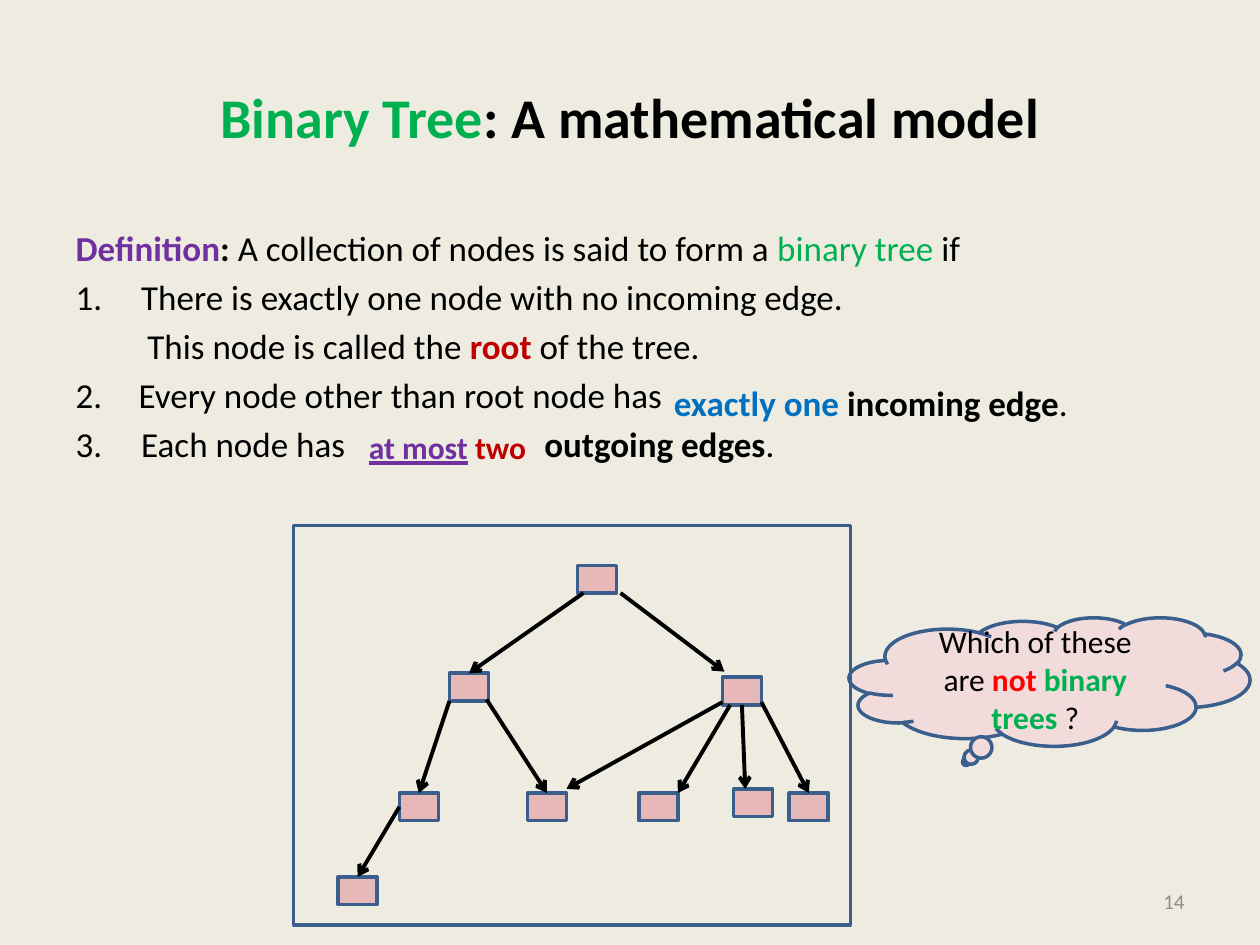
from lxml.etree import SubElement
from pptx import Presentation
from pptx.dml.color import RGBColor
from pptx.enum.shapes import MSO_CONNECTOR, MSO_SHAPE
from pptx.enum.text import MSO_ANCHOR, PP_ALIGN
from pptx.oxml.ns import qn
from pptx.util import Inches, Pt

BLACK = RGBColor(0x00, 0x00, 0x00)
GREEN = RGBColor(0x00, 0xB0, 0x50)
PURPLE = RGBColor(0x70, 0x30, 0xA0)
DARK_RED = RGBColor(0xC0, 0x00, 0x00)
RED = RGBColor(0xFF, 0x00, 0x00)
BLUE = RGBColor(0x00, 0x70, 0xC0)
GREY = RGBColor(0x8C, 0x8C, 0x8C)
OUTLINE = RGBColor(0x3A, 0x5F, 0x8C)
NODE_FILL = RGBColor(0xE6, 0xB9, 0xB8)
CLOUD_FILL = RGBColor(0xF2, 0xDC, 0xDB)
PAPER = RGBColor(0xEE, 0xEC, 0xE1)
FONT = "Calibri"

NODE_W, NODE_H = 0.31, 0.22
# Top left corner of each node, as shares of the frame
NODES = {
    "root": (0.51, 0.1), "left": (0.28, 0.37), "right": (0.77, 0.38),
    "a": (0.19, 0.67), "b": (0.42, 0.67), "c": (0.62, 0.67),
    "d": (0.79, 0.66), "e": (0.89, 0.67), "leaf": (0.08, 0.88),
}
TOP = (0.5, 0)
# Parent, child, and the points they join, as shares of each node
EDGES = [
    ("root", "left", (0.15, 1), TOP),
    ("root", "right", (1.1, 1), (0.05, -0.2)),
    ("left", "a", (0, 1), TOP),
    ("left", "b", (0.95, 0.95), TOP),
    ("right", "b", (0, 0.9), (1, -0.15)),
    ("right", "c", (0.2, 1), (1, 0)),
    ("right", "d", (0.5, 1), (0.3, 0)),
    ("right", "e", (1, 0.9), TOP),
    ("a", "leaf", (0, 0.5), TOP),
]


def add_runs(p, size, *runs):
    """Each run is (text, colour, bold)."""
    for text, colour, bold in runs:
        r = p.add_run()
        r.text = text
        r.font.name, r.font.size, r.font.bold = FONT, Pt(size), bold
        r.font.color.rgb = colour


def set_layout(p, indent=0, hanging=0, number=None, tab=None):
    pPr = p._p.get_or_add_pPr()
    pPr.set("marL", str(Inches(indent)))
    pPr.set("indent", str(-Inches(hanging)))
    if number:
        SubElement(pPr, qn("a:buFont"), typeface="+mj-lt")
        SubElement(pPr, qn("a:buAutoNum"), type="arabicPeriod", startAt=str(number))
    else:
        SubElement(pPr, qn("a:buNone"))
    if tab:
        tabs = SubElement(pPr, qn("a:tabLst"))
        SubElement(tabs, qn("a:tab"), pos=str(Inches(tab)), algn="l")


def add_box(s, kind, box, fill=None):
    sp = s.shapes.add_shape(kind, *map(Inches, box))
    sp.shadow.inherit = False
    if fill is None:
        sp.fill.background()
    else:
        sp.fill.solid()
        sp.fill.fore_color.rgb = fill
    sp.line.color.rgb = OUTLINE
    sp.line.width = Pt(2)
    return sp


def add_arrow(s, start, end):
    line = s.shapes.add_connector(MSO_CONNECTOR.STRAIGHT, *map(Inches, start + end))
    line.line.color.rgb = BLACK
    line.line.width = Pt(2.25)
    SubElement(line.line._get_or_add_ln(), qn("a:tailEnd"), type="arrow")
    SubElement(line._element.spPr, qn("a:effectLst"))


def add_label(s, box, size, *runs, fill=None):
    sp = s.shapes.add_textbox(*map(Inches, box))
    if fill is not None:
        sp.fill.solid()
        sp.fill.fore_color.rgb = fill
    tf = sp.text_frame
    tf.word_wrap = False
    add_runs(tf.paragraphs[0], size, *runs)
    return tf.paragraphs[0]


def add_title(s):
    tf = s.shapes.title.text_frame
    tf.vertical_anchor = MSO_ANCHOR.MIDDLE
    p = tf.paragraphs[0]
    p.alignment = PP_ALIGN.CENTER
    add_runs(p, 32, ("Binary Tree", GREEN, True), (": A mathematical model", BLACK, True))


def add_definition(s):
    lines = [
        ({}, [("Definition", PURPLE, True), (": ", BLACK, True),
              ("A collection of nodes is said to form a ", BLACK, False),
              ("binary tree ", GREEN, False), ("if", BLACK, False)]),
        ({"indent": 0.52, "hanging": 0.52, "number": 1},
         [("There is exactly one node with no incoming edge.", BLACK, False)]),
        ({"indent": 0.57},
         [("This node is called the ", BLACK, False), ("root", DARK_RED, True),
          (" of the tree.", BLACK, False)]),
        ({"indent": 0.5, "hanging": 0.5, "number": 2},
         [("Every node other than root node has", BLACK, False)]),
        ({"indent": 0.52, "hanging": 0.52, "number": 3, "tab": 3.72},
         [("Each node has\t", BLACK, False), ("outgoing edges", BLACK, True),
          (".", BLACK, False)]),
    ]
    tf = s.placeholders[1].text_frame
    for i, (layout, runs) in enumerate(lines):
        p = tf.add_paragraph() if i else tf.paragraphs[0]
        p.space_before = Pt(4 if i else 0)
        set_layout(p, **layout)
        add_runs(p, 20, *runs)


def add_answers(s):
    add_label(s, (5.25, 2.98, 3.35, 0.44), 20, ("exactly one ", BLUE, True),
              ("incoming edge", BLACK, True), (".", BLACK, False))
    p = add_label(s, (2.83, 3.35, 1.46, 0.4), 18, ("at most", PURPLE, True),
                  (" ", PURPLE, False), ("two", DARK_RED, True), fill=PAPER)
    p.runs[0].font.underline = True


def add_tree(s, box):
    left, top, width, height = box
    corners = {name: (left + x * width, top + y * height) for name, (x, y) in NODES.items()}

    def point(name, share):
        x, y = corners[name]
        return x + share[0] * NODE_W, y + share[1] * NODE_H

    for corner in corners.values():
        add_box(s, MSO_SHAPE.RECTANGLE, corner + (NODE_W, NODE_H), NODE_FILL)
    for parent, child, start, end in EDGES:
        add_arrow(s, point(parent, start), point(child, end))
    add_box(s, MSO_SHAPE.RECTANGLE, box)


def add_question(s, box):
    tf = add_box(s, MSO_SHAPE.CLOUD_CALLOUT, box, CLOUD_FILL).text_frame
    tf.word_wrap = True
    tf.vertical_anchor = MSO_ANCHOR.MIDDLE
    p = tf.paragraphs[0]
    p.alignment = PP_ALIGN.CENTER
    add_runs(p, 18, ("Which of these are ", BLACK, False), ("not ", RED, True),
             ("binary trees ", GREEN, True), ("?", BLACK, False))


def add_page_number(s, box):
    sp = s.shapes.add_textbox(*map(Inches, box))
    tf = sp.text_frame
    tf.word_wrap = True
    tf.vertical_anchor = MSO_ANCHOR.MIDDLE
    p = tf.paragraphs[0]
    p.alignment = PP_ALIGN.RIGHT
    add_runs(p, 12, ("14", GREY, False))


def main():
    prs = Presentation()
    prs.slide_width, prs.slide_height = Inches(10), Inches(7.5)
    s = prs.slides.add_slide(prs.slide_layouts[1])
    s.background.fill.solid()
    s.background.fill.fore_color.rgb = PAPER
    add_title(s)
    add_definition(s)
    add_page_number(s, (7.17, 6.95, 2.33, 0.4))
    add_question(s, (6.74, 4.9, 3.18, 1.02))
    add_tree(s, (2.33, 4.17, 4.42, 3.17))
    add_answers(s)
    prs.save("out.pptx")


if __name__ == "__main__":
    main()
